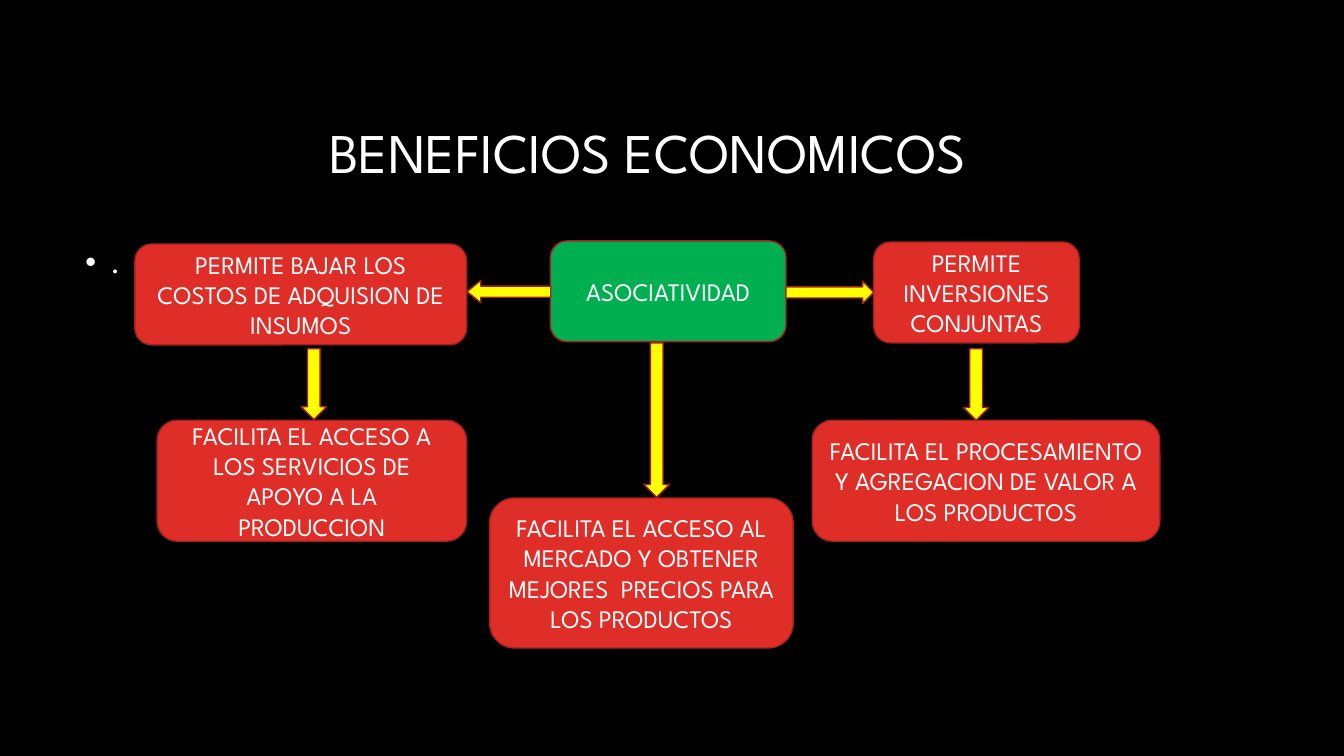
from lxml import etree
from pptx import Presentation
from pptx import util as u
from pptx.dml.color import RGBColor
from pptx.enum import shapes, text
from pptx.oxml.ns import qn

COLORS = {
    "background": "000000",
    "text": "FFFFFF",
    "center": "00B050",
    "benefit": "DF2E28",
    "arrow": "FFFF00",
    "outline": "A5221E",
}
FONT = "League Spartan"
Preset = shapes.MSO_SHAPE

BENEFITS = [
    ("PERMITE BAJAR LOS COSTOS DE ADQUISION DE INSUMOS", (3.4, 6.15, 8.36, 2.54)),
    ("PERMITE INVERSIONES CONJUNTAS", (22.02, 6.1, 5.18, 2.54)),
    ("FACILITA EL ACCESO A LOS SERVICIOS DE APOYO A LA PRODUCCION",
     (3.96, 10.59, 7.8, 3.05)),
    ("FACILITA EL PROCESAMIENTO Y AGREGACION DE VALOR A LOS PRODUCTOS",
     (20.47, 10.59, 8.76, 3.05)),
    ("FACILITA EL ACCESO AL MERCADO Y OBTENER MEJORES  PRECIOS PARA LOS PRODUCTOS",
     (12.34, 12.55, 7.65, 3.78)),
]
ARROWS = [
    (Preset.RIGHT_ARROW, (19.81, 7.09, 2.21, 0.56), 0.5),
    (Preset.LEFT_ARROW, (11.77, 7.07, 2.11, 0.56), 0.62),
    (Preset.DOWN_ARROW, (7.59, 8.79, 0.64, 1.78), 0.5),
    (Preset.DOWN_ARROW, (24.28, 8.79, 0.64, 1.8), 0.5),
    (Preset.DOWN_ARROW, (16.23, 8.64, 0.64, 3.89), 0.5),
]


def color(name):
    return RGBColor.from_string(COLORS[name])


def lengths(area):
    return [u.Cm(value) for value in area]


class Diagram:
    def __init__(self, slide):
        self.slide = slide
        fill = slide.background.fill
        fill.solid()
        fill.fore_color.rgb = color("background")

    def set_text(self, shape, words, size, anchor):
        """Fill a shape with one styled paragraph and return the paragraph."""
        frame = shape.text_frame
        frame.word_wrap = True
        frame.vertical_anchor = anchor
        frame.text = words
        paragraph = frame.paragraphs[0]
        for run in paragraph.runs:
            run.font.name = FONT
            run.font.size = u.Pt(size)
            run.font.color.rgb = color("text")
        return paragraph

    def label(self, words, area, size, anchor):
        shape = self.slide.shapes.add_textbox(*lengths(area))
        paragraph = self.set_text(shape, words, size, anchor)
        paragraph.line_spacing = 0.9
        return paragraph

    def bullet(self, words, area, size):
        paragraph = self.label(words, area, size, text.MSO_ANCHOR.TOP)
        paragraph.space_before = u.Pt(10)
        properties = paragraph._p.get_or_add_pPr()
        indent = u.Cm(0.64)
        properties.set("marL", str(indent))
        properties.set("indent", str(-indent))
        font = etree.SubElement(properties, qn("a:buFont"))
        font.set("typeface", "Arial")
        etree.SubElement(properties, qn("a:buChar")).set("char", "•")

    def outlined(self, preset, area, fill):
        shape = self.slide.shapes.add_shape(preset, *lengths(area))
        shape.shadow.inherit = False
        shape.fill.solid()
        shape.fill.fore_color.rgb = color(fill)
        shape.line.color.rgb = color("outline")
        shape.line.width = u.Pt(1)
        return shape

    def box(self, words, area, fill):
        shape = self.outlined(Preset.ROUNDED_RECTANGLE, area, fill)
        paragraph = self.set_text(shape, words, 18, text.MSO_ANCHOR.MIDDLE)
        paragraph.alignment = text.PP_ALIGN.CENTER

    def arrow(self, preset, area, head):
        shape = self.outlined(preset, area, "arrow")
        shape.adjustments[1] = head


def main():
    presentation = Presentation()
    presentation.slide_width = u.Cm(33.87)
    presentation.slide_height = u.Cm(19.05)
    diagram = Diagram(presentation.slides.add_slide(presentation.slide_layouts[6]))

    diagram.label("BENEFICIOS ECONOMICOS", (8.05, 2.13, 23.93, 3.58), 40,
                  text.MSO_ANCHOR.MIDDLE)
    diagram.bullet(".", (1.9, 6.1, 30.05, 11.18), 22)
    diagram.box("ASOCIATIVIDAD", (13.87, 6.07, 5.94, 2.54), "center")
    for words, area in BENEFITS:
        diagram.box(words, area, "benefit")
    for preset, area, head in ARROWS:
        diagram.arrow(preset, area, head)

    presentation.save("out.pptx")


if __name__ == "__main__":
    main()
